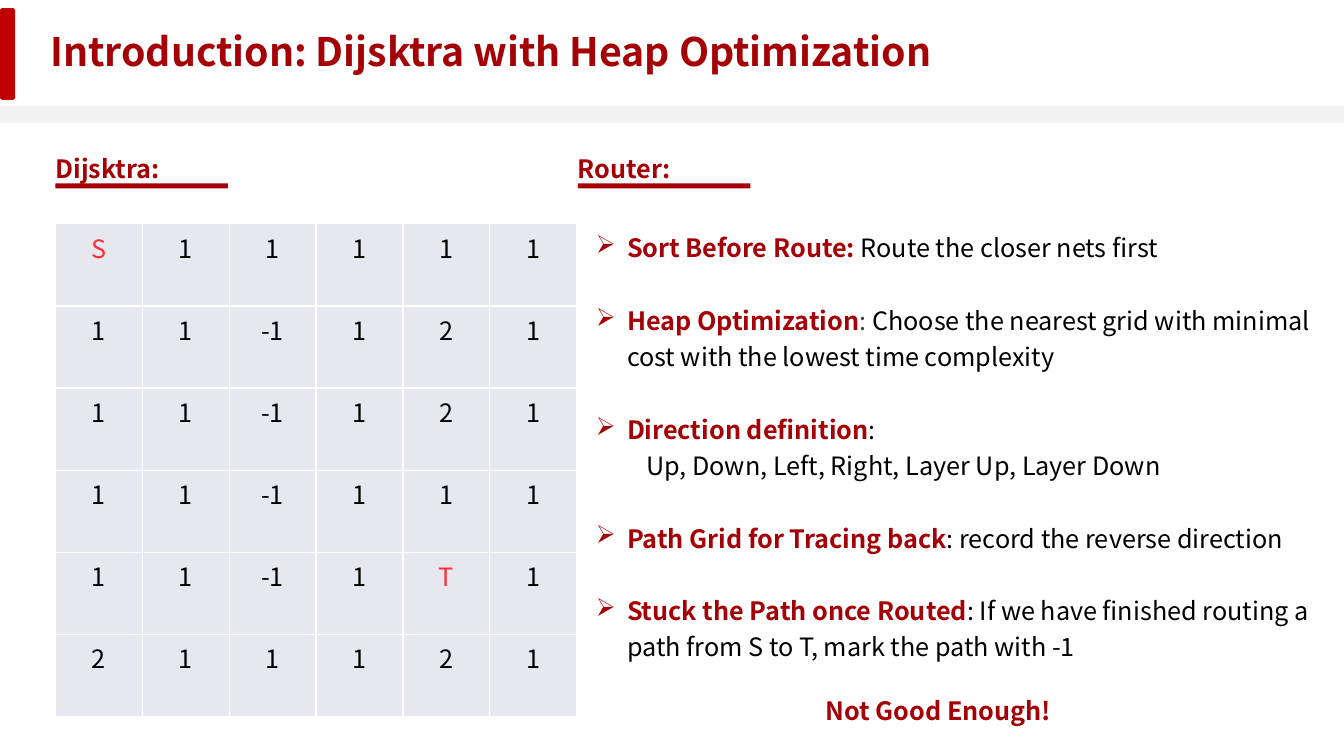
"""Build the slide on Dijsktra routing with heap optimization."""
import dataclasses
import typing

import lxml.etree
import pptx
import pptx.dml.color
import pptx.enum.shapes
import pptx.enum.text
import pptx.oxml.ns
import pptx.util

FONT = "Noto Sans CJK SC"
COLOURS = {
    "heading": "A40006",
    "marker": "C00000",
    "divider": "F2F2F2",
    "body": "000000",
    "soft": "404040",
    "cell": "E7E8EF",
    "border": "FFFFFF",
    "endpoint": "FF2F37",
}
SLIDE_WIDTH = pptx.util.Inches(13.33)
SLIDE_HEIGHT = pptx.util.Inches(7.5)
BODY_SIZE = 18
LINE_SPACING = 1.2
TOPIC_GAP = 25.9
COST_ROWS = (
    "S 1 1 1 1 1",
    "1 1 -1 1 2 1",
    "1 1 -1 1 2 1",
    "1 1 -1 1 1 1",
    "1 1 -1 1 T 1",
    "2 1 1 1 2 1",
)


@dataclasses.dataclass(frozen=True)
class Area:
    """Position and size as percentages of the slide."""
    left: float
    top: float
    width: float
    height: float

    def lengths(self) -> tuple[int, int, int, int]:
        return (
            round(SLIDE_WIDTH * self.left / 100),
            round(SLIDE_HEIGHT * self.top / 100),
            round(SLIDE_WIDTH * self.width / 100),
            round(SLIDE_HEIGHT * self.height / 100),
        )


class Span(typing.NamedTuple):
    text: str
    colour: str = "body"


class Topic(typing.NamedTuple):
    heading: str
    spans: tuple[Span, ...]
    detail: str = ""


class Section(typing.NamedTuple):
    label: str
    left: float


TOPICS = (
    Topic("Sort Before Route: ", (Span("Route the closer nets first"),)),
    Topic("Heap Optimization", (
        Span(": ", "soft"),
        Span("Choose the nearest grid with minimal cost with the lowest time complexity"),
    )),
    Topic("Direction definition", (Span(": "),),
          "\tUp, Down, Left, Right, Layer Up, Layer Down"),
    Topic("Path Grid for Tracing back", (Span(": record the reverse direction"),)),
    Topic("Stuck the Path once Routed", (
        Span(": If we have finished routing a path from S to T, mark the path with -1"),
    )),
)
SECTIONS = (Section("Dijsktra:", 4.13), Section("Router:", 43))


def rgb(colour: str) -> pptx.dml.color.RGBColor:
    return pptx.dml.color.RGBColor.from_string(COLOURS[colour])


def style_run(run, colour: str, size: float = BODY_SIZE, bold: bool = False) -> None:
    run.font.name = FONT
    run.font.size = pptx.util.Pt(size)
    run.font.bold = bold
    run.font.color.rgb = rgb(colour)


def add_bar(page, area: Area, colour: str, rounded: bool = False) -> None:
    kinds = pptx.enum.shapes.MSO_SHAPE
    kind = kinds.ROUNDED_RECTANGLE if rounded else kinds.RECTANGLE
    bar = page.shapes.add_shape(kind, *area.lengths())
    bar.shadow.inherit = False
    bar.fill.solid()
    bar.fill.fore_color.rgb = rgb(colour)
    bar.line.fill.background()


def add_frame(page, area: Area):
    frame = page.shapes.add_textbox(*area.lengths()).text_frame
    frame.word_wrap = True
    return frame


def add_label(page, area: Area, text: str, size: float = BODY_SIZE):
    frame = add_frame(page, area)
    frame.text = text
    style_run(frame.paragraphs[0].runs[0], "heading", size, True)
    return frame


def add_section(page, section: Section) -> None:
    frame = add_label(page, Area(section.left, 19.47, 12.83, 4.4), section.label)
    frame.margin_left = frame.margin_right = frame.margin_top = frame.margin_bottom = 0
    frame.paragraphs[0].line_spacing = LINE_SPACING
    add_bar(page, Area(section.left, 24.27, 12.83, 0.67), "heading")


def add_bullet(para) -> None:
    properties = para._p.get_or_add_pPr()
    indent = pptx.util.Inches(0.31)
    properties.set("marL", str(indent))
    properties.set("indent", str(-indent))
    bullet = lxml.etree.SubElement(properties, pptx.oxml.ns.qn("a:buChar"))
    bullet.set("char", "➢")


def add_topics(page, area: Area, topics: tuple[Topic, ...]) -> None:
    frame = add_frame(page, area)
    for index, topic in enumerate(topics):
        para = frame.add_paragraph() if index else frame.paragraphs[0]
        add_bullet(para)
        para.line_spacing = LINE_SPACING
        if index:
            para.space_before = pptx.util.Pt(TOPIC_GAP)
        para.text = topic.heading
        style_run(para.runs[0], "heading", bold=True)
        for span in topic.spans:
            run = para.add_run()
            run.text = span.text
            style_run(run, span.colour)
        if topic.detail:
            para.add_line_break()
            run = para.add_run()
            run.text = topic.detail
            style_run(run, "body")


def add_borders(cell) -> None:
    properties = cell._tc.get_or_add_tcPr()
    for side in ("lnL", "lnR", "lnT", "lnB"):
        line = lxml.etree.SubElement(properties, pptx.oxml.ns.qn(f"a:{side}"))
        line.set("w", str(pptx.util.Pt(1)))
        fill = lxml.etree.SubElement(line, pptx.oxml.ns.qn("a:solidFill"))
        shade = lxml.etree.SubElement(fill, pptx.oxml.ns.qn("a:srgbClr"))
        shade.set("val", COLOURS["border"])


def add_cost_grid(page, area: Area, rows: tuple[str, ...]) -> None:
    values = [row.split() for row in rows]
    table = page.shapes.add_table(len(values), len(values[0]), *area.lengths()).table
    table.first_row = False
    table.horz_banding = False
    for row, line in enumerate(values):
        for column, value in enumerate(line):
            cell = table.cell(row, column)
            add_borders(cell)
            cell.fill.solid()
            cell.fill.fore_color.rgb = rgb("cell")
            cell.text_frame.text = value
            para = cell.text_frame.paragraphs[0]
            para.alignment = pptx.enum.text.PP_ALIGN.CENTER
            style_run(para.runs[0], "endpoint" if value in ("S", "T") else "body")


def main() -> None:
    deck = pptx.Presentation()
    deck.slide_width = SLIDE_WIDTH
    deck.slide_height = SLIDE_HEIGHT
    page = deck.slides.add_slide(deck.slide_layouts[6])
    add_bar(page, Area(0, 14, 100, 2.27), "divider")
    add_bar(page, Area(0, 1.07, 1.13, 12.13), "marker", rounded=True)
    add_label(page, Area(3, 2.93, 89, 7.6),
              "Introduction: Dijsktra with Heap Optimization", 28)
    for section in SECTIONS:
        add_section(page, section)
    add_topics(page, Area(43.59, 29.33, 55.74, 64), TOPICS)
    add_cost_grid(page, Area(4.13, 29.6, 38.78, 65.2), COST_ROWS)
    verdict = add_label(page, Area(50.94, 91.33, 37.73, 5.33), "Not Good Enough!")
    verdict.paragraphs[0].alignment = pptx.enum.text.PP_ALIGN.CENTER
    deck.save("out.pptx")


if __name__ == "__main__":
    main()
